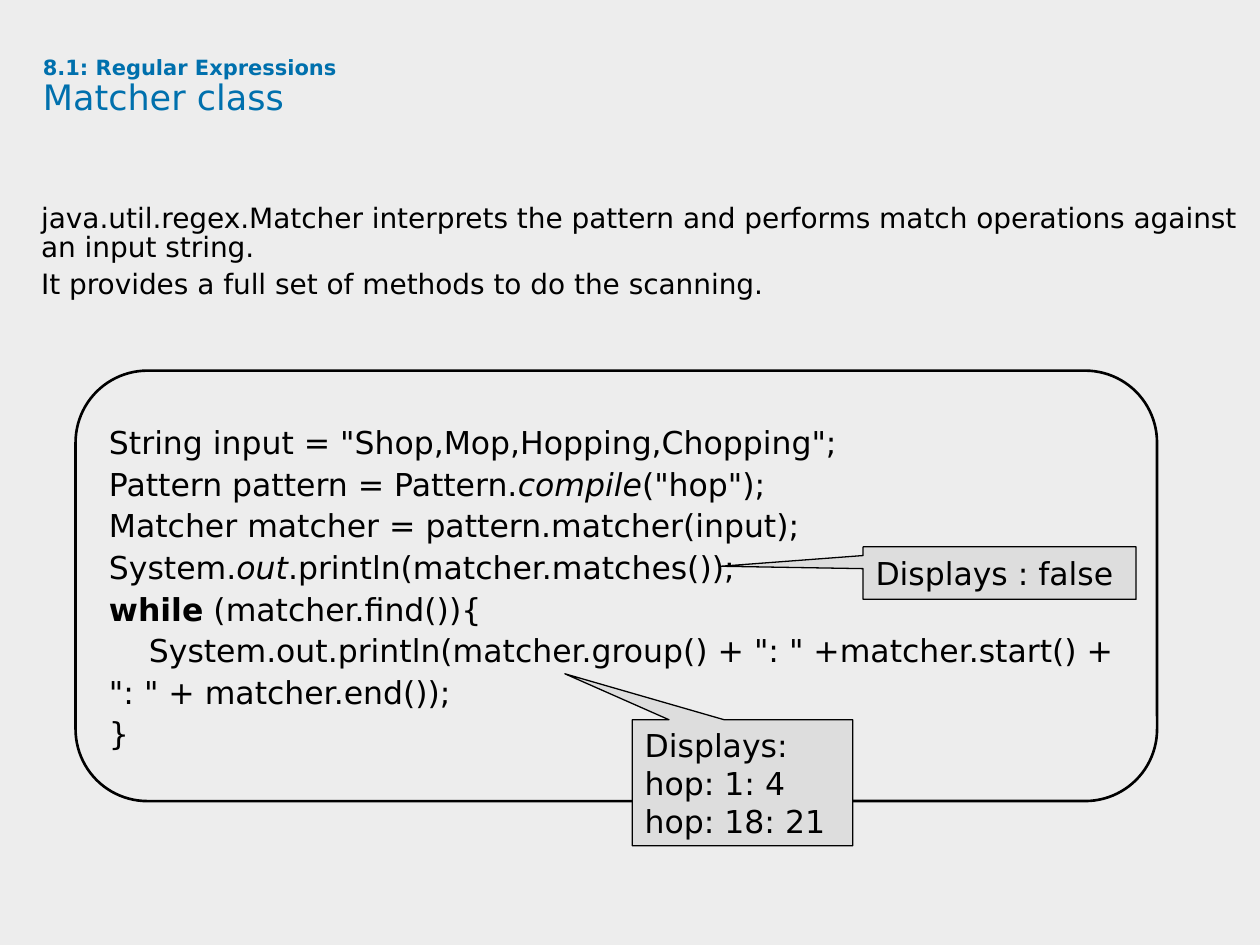
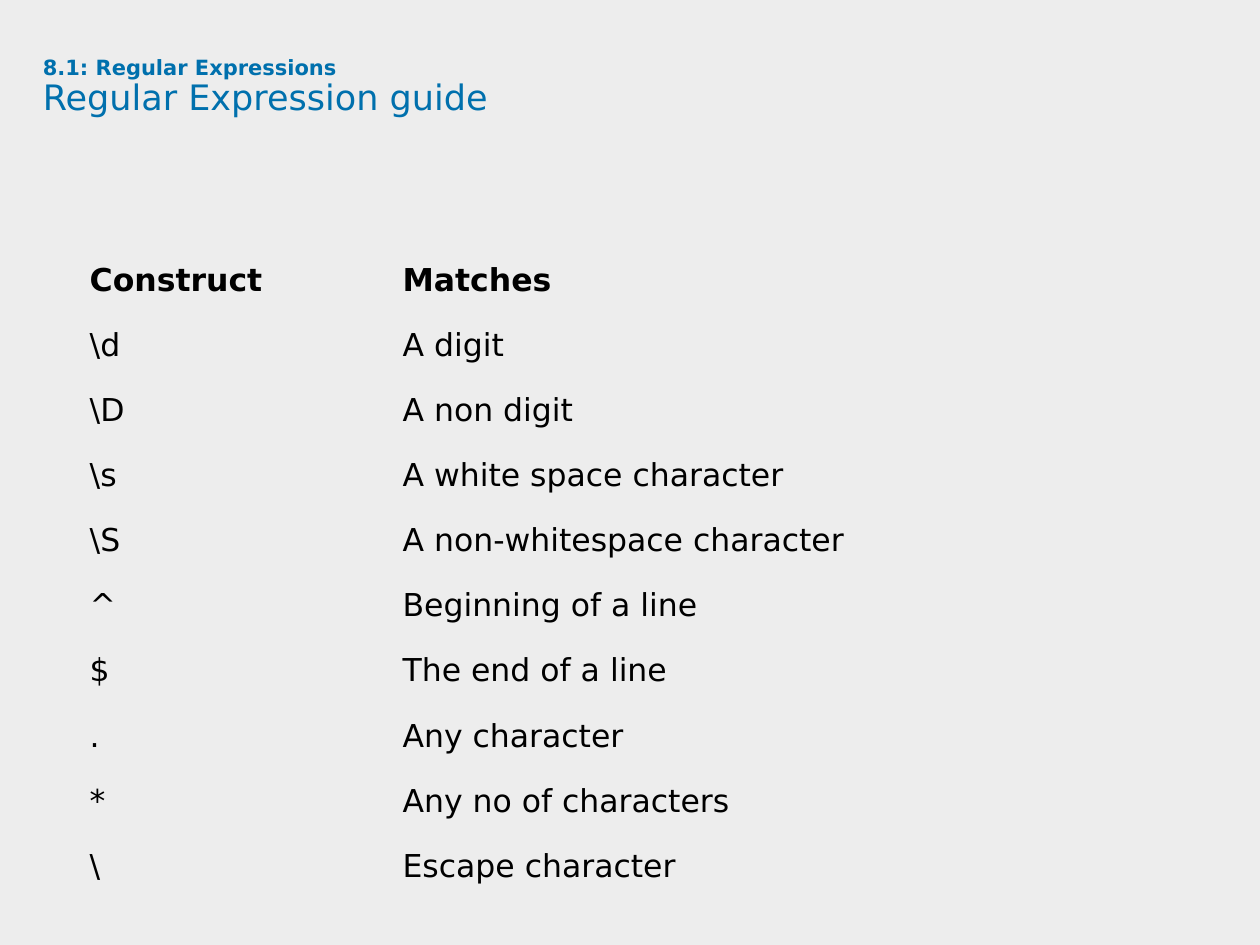
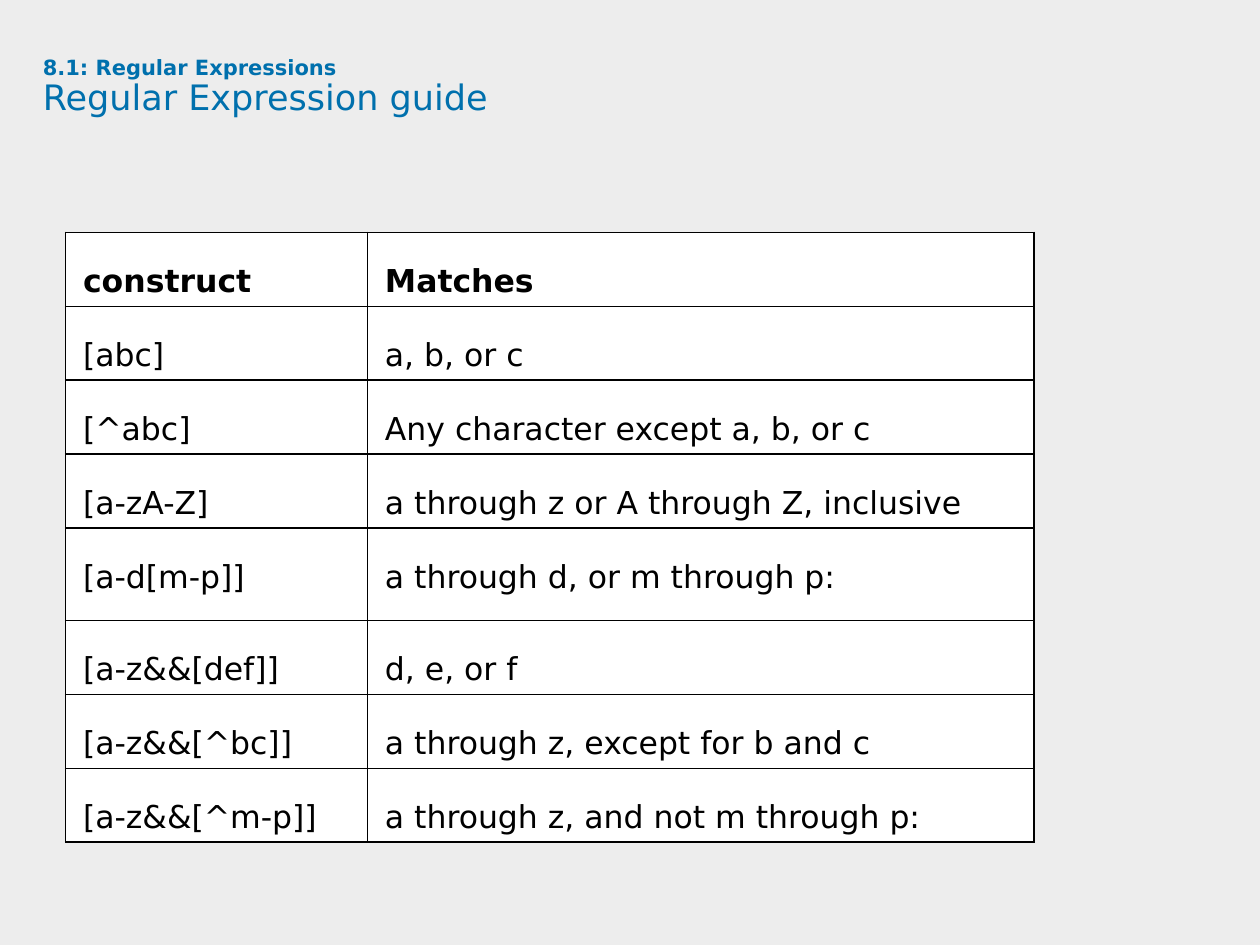
from copy import deepcopy

from lxml import etree
from pptx import Presentation
from pptx import util as u
from pptx.dml.color import RGBColor
from pptx.enum import shapes, text
from pptx.oxml.ns import qn

FONT = "DejaVu Sans"
BLACK, WHITE, BLUE = "000000", "FFFFFF", "0070AD"
PAGE, CALLOUT = "EDEDED", "DDDDDD"
CHAPTER = "8.1: Regular Expressions "
NO_TABLE_STYLE = "{2D5ABB26-0587-4C30-8999-92F81FD0307C}"

INTRO = [
    "java.util.regex.Matcher interprets the pattern and performs match "
    "operations against an input string.",
    "It provides a full set of methods to do the scanning.",
]
# Each code line is a list of (words, style) runs
CODE = [
    [('String input = "Shop,Mop,Hopping,Chopping";', "")],
    [("Pattern pattern = Pattern.", ""), ("compile", "i"), ('("hop");', "")],
    [("Matcher matcher = pattern.matcher(input);", "")],
    [("System.", ""), ("out", "i"), (".println(matcher.matches());", "")],
    [("while", "b"), (" (matcher.find()){", "")],
    [('    System.out.println(matcher.group() + ": " +matcher.start() + ": " + matcher.end());', "")],
    [("}", "")],
]
SYMBOLS = [
    ("Construct", "Matches"),
    (r"\d", "A digit"),
    (r"\D", "A non digit"),
    (r"\s", "A white space character"),
    (r"\S", "A non-whitespace character"),
    ("^", "Beginning of a line"),
    ("$", "The end of a line"),
    (".", "Any character"),
    ("*", "Any no of characters"),
    ("\\", "Escape character"),
]
CLASSES = [
    ("construct", "Matches"),
    ("[abc]", "a, b, or c"),
    ("[^abc]", "Any character except a, b, or c"),
    ("[a-zA-Z]", "a through z or A through Z, inclusive"),
    ("[a-d[m-p]]", "a through d, or m through p:"),
    ("[a-z&&[def]]", "d, e, or f"),
    ("[a-z&&[^bc]]", "a through z, except for b and c"),
    ("[a-z&&[^m-p]]", "a through z, and not m through p:"),
]


def color(value):
    return RGBColor.from_string(value)


def points(*values):
    return [u.Pt(value) for value in values]


def add_run(paragraph, words, size=18, ink=BLACK, style=""):
    run = paragraph.add_run()
    run.text = words
    font = run.font
    font.name, font.size = FONT, u.Pt(size)
    font.bold, font.italic = "b" in style, "i" in style
    font.color.rgb = color(ink)
    return run


def set_insets(part, side, top):
    part.margin_left = part.margin_right = u.Pt(side)
    part.margin_top = part.margin_bottom = u.Pt(top)


def fill_lines(frame, lines, size=18, spacing=1.0, after=0):
    frame.word_wrap = True
    for index, runs in enumerate(lines):
        paragraph = frame.paragraphs[0] if index == 0 else frame.add_paragraph()
        paragraph.alignment = text.PP_ALIGN.LEFT
        paragraph.line_spacing = spacing
        paragraph.space_after = u.Pt(after)
        for words, style in runs:
            add_run(paragraph, words, size, style=style)


def plain(lines):
    return [[(line, "")] for line in lines]


def add_titled_slide(deck, heading):
    slide = deck.slides.add_slide(deck.slide_layouts[5])
    title = slide.shapes.title
    title.left, title.top, title.width, title.height = points(24.5, 33, 654.5, 67.5)
    frame = title.text_frame
    frame.auto_size = text.MSO_AUTO_SIZE.NONE
    frame.vertical_anchor = text.MSO_ANCHOR.TOP
    set_insets(frame, 0, 0)
    paragraph = frame.paragraphs[0]
    paragraph.alignment = text.PP_ALIGN.LEFT
    paragraph.line_spacing = 0.9
    chapter = add_run(paragraph, CHAPTER, 12, BLUE, "b")
    paragraph.add_line_break()
    # The break takes the small size too, so that the first line stays tight
    paragraph._p.find(qn("a:br")).append(deepcopy(chapter._r.rPr))
    add_run(paragraph, heading, 20, BLUE)
    return slide


def add_panel(slide, preset, box, adjustments, lines, fill=None, border=0.75, spacing=1.0):
    panel = slide.shapes.add_shape(preset, *points(*box))
    panel.shadow.inherit = False
    for index, value in enumerate(adjustments):
        panel.adjustments[index] = value
    if fill:
        panel.fill.solid()
        panel.fill.fore_color.rgb = color(fill)
    else:
        panel.fill.background()
    panel.line.color.rgb = color(BLACK)
    panel.line.width = u.Pt(border)
    panel.text_frame.vertical_anchor = text.MSO_ANCHOR.MIDDLE
    fill_lines(panel.text_frame, lines, spacing=spacing)


def add_callout(slide, box, tip, lines):
    add_panel(slide, shapes.MSO_SHAPE.RECTANGULAR_CALLOUT, box, tip, plain(lines), CALLOUT)


def set_borders(cell):
    properties = cell._tc.get_or_add_tcPr()
    for side in ("a:lnL", "a:lnR", "a:lnT", "a:lnB"):
        line = etree.SubElement(properties, qn(side), w=str(u.Pt(1)))
        ink = etree.SubElement(line, qn("a:solidFill"))
        etree.SubElement(ink, qn("a:srgbClr"), val=BLACK)


def add_guide(slide, rows, corner, widths, spacing, inset, boxed=False, tall_rows=None):
    row_height = spacing + 7.2
    grid = slide.shapes.add_table(
        len(rows), len(widths), *points(*corner, sum(widths), row_height * len(rows))).table
    grid.first_row = grid.horz_banding = False
    grid._tbl.tblPr.find(qn("a:tableStyleId")).text = NO_TABLE_STYLE
    for column, width in zip(grid.columns, widths):
        column.width = u.Pt(width)
    for r, entries in enumerate(rows):
        grid.rows[r].height = u.Pt((tall_rows or {}).get(r, row_height))
        for c, words in enumerate(entries):
            cell = grid.cell(r, c)
            set_insets(cell, inset, 3.6)
            if boxed:
                set_borders(cell)
                cell.fill.solid()
                cell.fill.fore_color.rgb = color(WHITE)
            else:
                cell.fill.background()
            paragraph = cell.text_frame.paragraphs[0]
            paragraph.line_spacing = u.Pt(spacing)
            add_run(paragraph, words, style="b" if r == 0 else "")


def main():
    deck = Presentation()
    deck.slide_width, deck.slide_height = points(720, 540)
    backdrop = deck.slide_master.background.fill
    backdrop.solid()
    backdrop.fore_color.rgb = color(PAGE)

    # Matcher class: introduction, code and its output
    matcher = add_titled_slide(deck, "Matcher class")
    intro = matcher.shapes.add_textbox(*points(23.5, 117.5, 696.5, 60)).text_frame
    set_insets(intro, 0, 0)
    fill_lines(intro, plain(INTRO), 16, u.Pt(16.5), 4.5)
    add_panel(matcher, shapes.MSO_SHAPE.ROUNDED_RECTANGLE, (43.2, 211.8, 618, 246),
              [0.167], CODE, border=1.5, spacing=1.1)
    add_callout(matcher, (493.2, 312.5, 156, 30), (-1.022, -0.129), ["Displays : false"])
    add_callout(matcher, (361.3, 411.3, 126, 72), (-0.806, -0.865),
                ["Displays:", "hop: 1: 4", "hop: 18: 21"])

    # Single-symbol constructs
    symbols = add_titled_slide(deck, "Regular Expression guide")
    add_guide(symbols, SYMBOLS, (39.8, 137), (178.8, 426), 30, 11.5)

    # Character classes
    classes = add_titled_slide(deck, "Regular Expression guide")
    add_guide(classes, CLASSES, (37.5, 132.8), (172.5, 381), 35, 10, True, {4: 52.8})

    deck.save("out.pptx")


if __name__ == "__main__":
    main()
